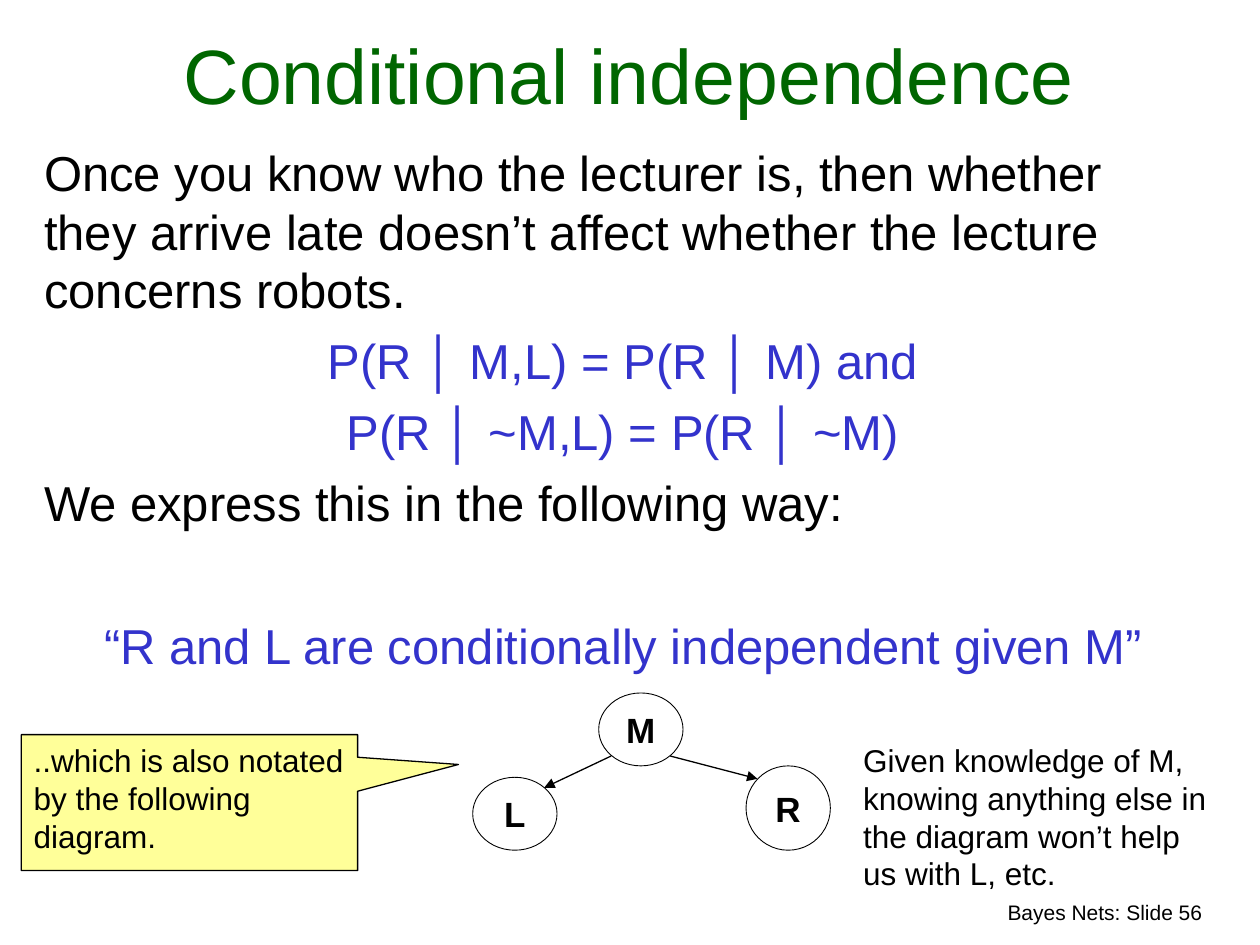
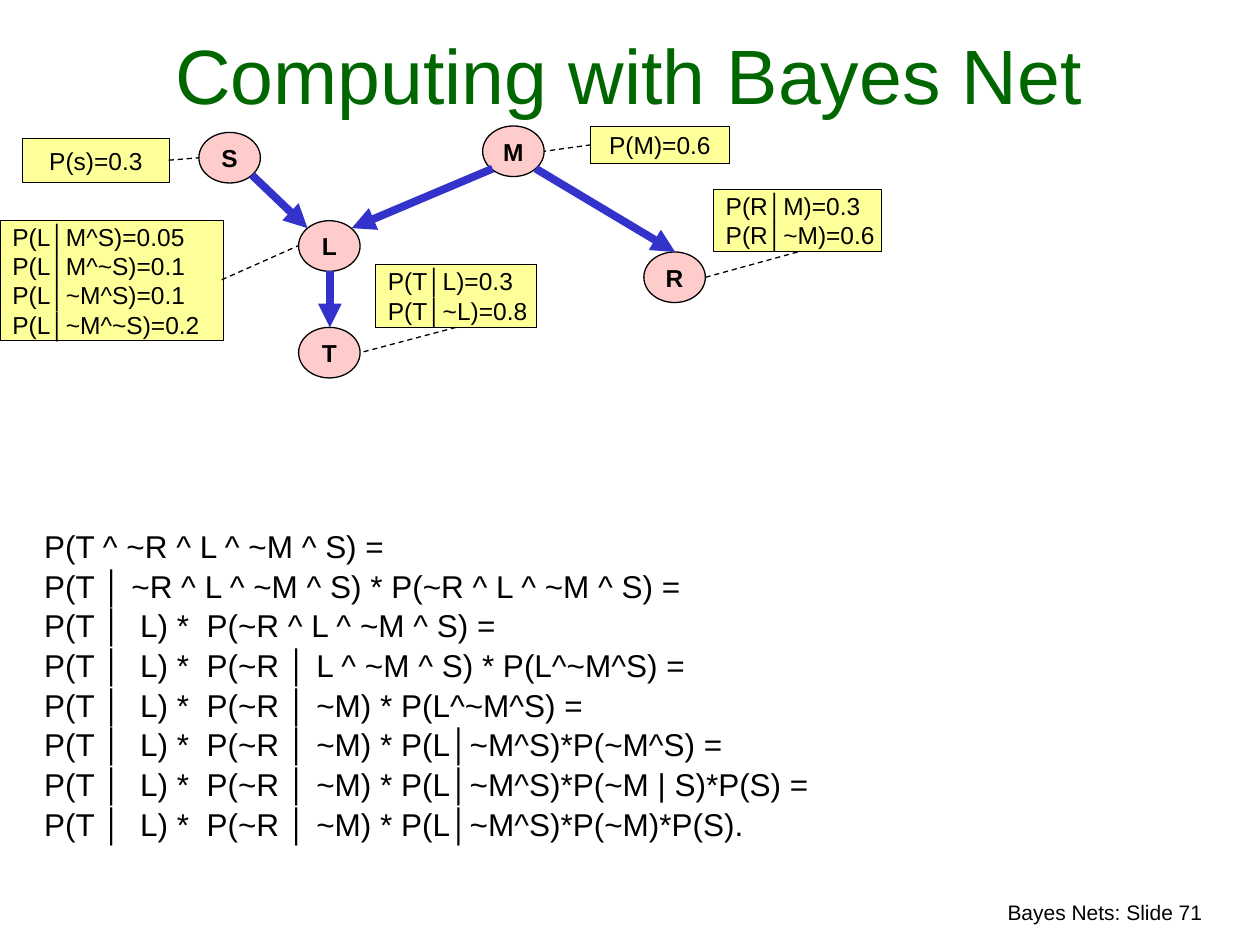
from lxml import etree
from pptx import Presentation
from pptx import util as u
from pptx.dml.color import RGBColor
from pptx.enum import dml, shapes, text
from pptx.oxml import ns

FONT = "Arial"
BLACK = RGBColor(0x00, 0x00, 0x00)
GREEN = RGBColor(0x00, 0x66, 0x00)
BLUE = RGBColor(0x33, 0x33, 0xCC)
YELLOW = RGBColor(0xFF, 0xFF, 0x99)
PINK = RGBColor(0xFF, 0xCC, 0xCC)
LEFT, CENTER, RIGHT = text.PP_ALIGN.LEFT, text.PP_ALIGN.CENTER, text.PP_ALIGN.RIGHT
TOP, MIDDLE, BOTTOM = text.MSO_ANCHOR.TOP, text.MSO_ANCHOR.MIDDLE, text.MSO_ANCHOR.BOTTOM
INSETS = (0.25, 0.13, 0.25, 0.13)
NO_INSETS = (0, 0, 0, 0)
LINE_HEIGHT = 1.2


def cm(values):
    """Turn numbers into centimetre lengths."""
    return [u.Cm(v) for v in values]


def set_frame(sp, anchor=TOP, insets=INSETS):
    """Set wrapping, anchor and insets, and return the text frame."""
    tf = sp.text_frame
    tf.word_wrap = True
    tf.vertical_anchor = anchor
    tf.margin_left, tf.margin_top, tf.margin_right, tf.margin_bottom = cm(insets)
    return tf


def add_line(tf, content, size, color=BLACK, align=LEFT, bold=False, before=0):
    """Add a paragraph of one run, using the empty first paragraph if there is one."""
    first = tf.paragraphs[0]
    p = tf.add_paragraph() if first.runs else first
    p.alignment = align
    p.space_before = u.Pt(before)
    p.line_spacing = u.Pt(LINE_HEIGHT * size)
    r = p.add_run()
    r.text = content
    r.font.name = FONT
    r.font.size = u.Pt(size)
    r.font.bold = bold
    r.font.color.rgb = color


def add_text(s, box, anchor=TOP):
    """Add a text box and return its text frame."""
    return set_frame(s.shapes.add_textbox(*cm(box)), anchor)


def add_outlined(s, kind, box, fill, width):
    """Add a preset shape with a black outline and an optional fill."""
    sp = s.shapes.add_shape(kind, *cm(box))
    sp.shadow.inherit = False
    if fill is None:
        sp.fill.background()
    else:
        sp.fill.solid()
        sp.fill.fore_color.rgb = fill
    sp.line.color.rgb = BLACK
    sp.line.width = u.Pt(width)
    return sp


def add_node(s, label, box, size, fill=None, width=0.5):
    """Add a network node with its bold letter."""
    sp = add_outlined(s, shapes.MSO_SHAPE.OVAL, box, fill, width)
    add_line(set_frame(sp, MIDDLE, NO_INSETS), label, size, align=CENTER, bold=True)


def add_table_box(s, box, lines):
    """Add a yellow box of probabilities, centred when it holds one line."""
    sp = add_outlined(s, shapes.MSO_SHAPE.RECTANGLE, box, YELLOW, 0.5)
    single = len(lines) == 1
    tf = set_frame(sp, MIDDLE, NO_INSETS if single else (0.25, 0, 0, 0))
    for line in lines:
        add_line(tf, line, 14, align=CENTER if single else LEFT)


def add_link(s, ends, color=BLACK, width=0.75, arrow=True):
    """Add a straight arrow, or a dashed line without a head."""
    c = s.shapes.add_connector(shapes.MSO_CONNECTOR.STRAIGHT, *cm(ends))
    c.line.color.rgb = color
    c.line.width = u.Pt(width)
    if arrow:
        etree.SubElement(c.line._get_or_add_ln(), ns.qn("a:tailEnd"), type="triangle")
    else:
        c.line.dash_style = dml.MSO_LINE.DASH
    etree.SubElement(c._element.spPr, ns.qn("a:effectLst"))


def add_slide(prs, title, number):
    """Add a blank slide with the shared title and footer."""
    s = prs.slides.add_slide(prs.slide_layouts[6])
    footer = add_text(s, (14.53, 18.01, 9.96, 0.76))
    add_line(footer, f"Bayes Nets: Slide {number}", 12, align=RIGHT)
    heading = add_text(s, (0.2, 0.43, 24.97, 2.11), BOTTOM)
    add_line(heading, title, 44, GREEN, CENTER)
    return s


def build_independence(prs):
    """Build the slide on conditional independence."""
    s = add_slide(prs, "Conditional independence", 56)
    tf = add_text(s, (0.64, 2.74, 23.83, 10.92))
    for content, color, align, before in (
        ("Once you know who the lecturer is, then whether they arrive late "
         "doesn’t affect whether the lecture concerns robots.", BLACK, LEFT, 0),
        ("P(R │ M,L) = P(R │ M) and", BLUE, CENTER, 7),
        ("P(R │ ~M,L) = P(R │ ~M)", BLUE, CENTER, 7),
        ("We express this in the following way:", BLACK, LEFT, 7),
        ("“R and L are conditionally independent given M”", BLUE, CENTER, 47.6),
    ):
        add_line(tf, content, 28, color, align, before=before)

    add_node(s, "M", (12.07, 13.97, 1.7, 1.47), 20)
    add_node(s, "L", (9.53, 15.67, 1.7, 1.47), 20)
    add_node(s, "R", (15.04, 15.44, 1.7, 1.7), 20)
    add_link(s, (12.32, 15.24, 10.97, 15.88))
    add_link(s, (13.51, 15.24, 15.27, 15.7))

    remark = add_text(s, (17.15, 14.81, 7.62, 3.3))
    add_line(remark, "Given knowledge of M, knowing anything else in the diagram "
             "won’t help us with L, etc.", 18)
    callout = add_outlined(s, shapes.MSO_SHAPE.RECTANGULAR_CALLOUT,
                           (0.43, 14.81, 6.78, 2.74), YELLOW, 0.75)
    callout.adjustments[0], callout.adjustments[1] = 0.8, -0.28
    add_line(set_frame(callout), "..which is also notated by the following diagram.", 18)


def build_computing(prs):
    """Build the slide that computes a joint probability."""
    s = add_slide(prs, "Computing with Bayes Net", 71)
    tf = add_text(s, (0.64, 10.49, 23.83, 7.52))
    given_l = "P(T │  L) *  P(~R"
    given_m = given_l + " │ ~M) * P(L"
    for i, step in enumerate((
        "P(T ^ ~R ^ L ^ ~M ^ S) =",
        "P(T │ ~R ^ L ^ ~M ^ S) * P(~R ^ L ^ ~M ^ S) =",
        given_l + " ^ L ^ ~M ^ S) =",
        given_l + " │ L ^ ~M ^ S) * P(L^~M^S) =",
        given_m + "^~M^S) =",
        given_m + "│~M^S)*P(~M^S) =",
        given_m + "│~M^S)*P(~M | S)*P(S) =",
        given_m + "│~M^S)*P(~M)*P(S).",
    )):
        add_line(tf, step, 18, before=1.1 if i else 0)

    for label, x, y in (("S", 4.01, 2.67), ("M", 9.73, 2.54), ("R", 12.98, 5.08),
                        ("L", 6.02, 4.45), ("T", 6.02, 6.6)):
        add_node(s, label, (x, y, 1.24, 1.02), 14, PINK, 0.75)

    for box, lines in (
        ((0.46, 2.79, 2.95, 0.89), ["P(s)=0.3"]),
        ((11.91, 2.54, 2.79, 0.76), ["P(M)=0.6"]),
        ((14.38, 3.81, 3.4, 1.27), ["P(R│M)=0.3", "P(R│~M)=0.6"]),
        ((7.57, 5.33, 3.25, 1.27), ["P(T│L)=0.3", "P(T│~L)=0.8"]),
        ((0, 4.45, 4.5, 2.41), ["P(L│M^S)=0.05", "P(L│M^~S)=0.1",
                                "P(L│~M^S)=0.1", "P(L│~M^~S)=0.2"]),
    ):
        add_table_box(s, box, lines)

    for ends in ((5.08, 3.53, 6.2, 4.6), (9.93, 3.4, 7.09, 4.6),
                 (10.8, 3.4, 13.61, 5.08), (6.65, 5.46, 6.65, 6.6)):
        add_link(s, ends, BLUE, 4.5)
    for ends in ((9.19, 6.6, 7.26, 7.11), (16.08, 5.08, 14.22, 5.59),
                 (11.91, 2.92, 10.97, 3.05), (3.4, 3.23, 4.01, 3.18),
                 (4.47, 5.64, 6.02, 4.95)):
        add_link(s, ends, arrow=False)


def main():
    """Build and save the presentation."""
    prs = Presentation()
    prs.slide_width, prs.slide_height = cm((25.4, 19.05))
    build_independence(prs)
    build_computing(prs)
    prs.save("out.pptx")


if __name__ == "__main__":
    main()
